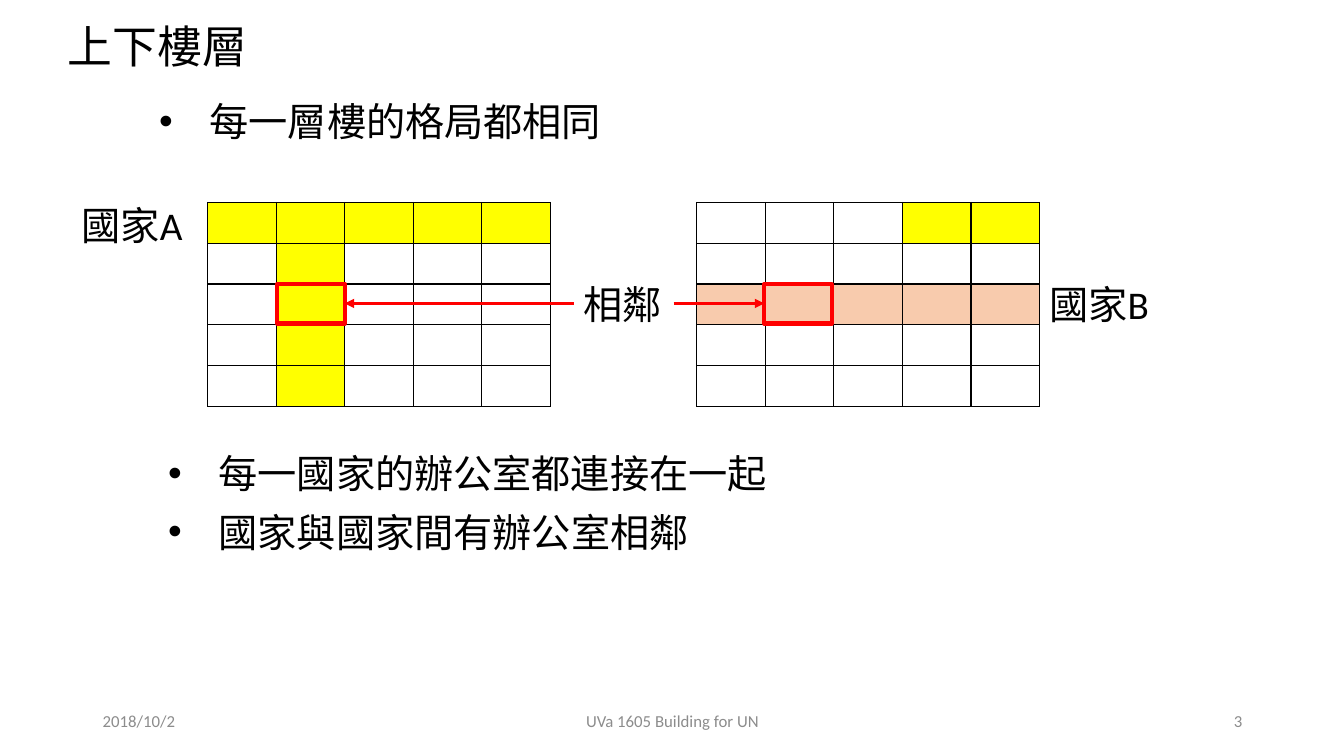
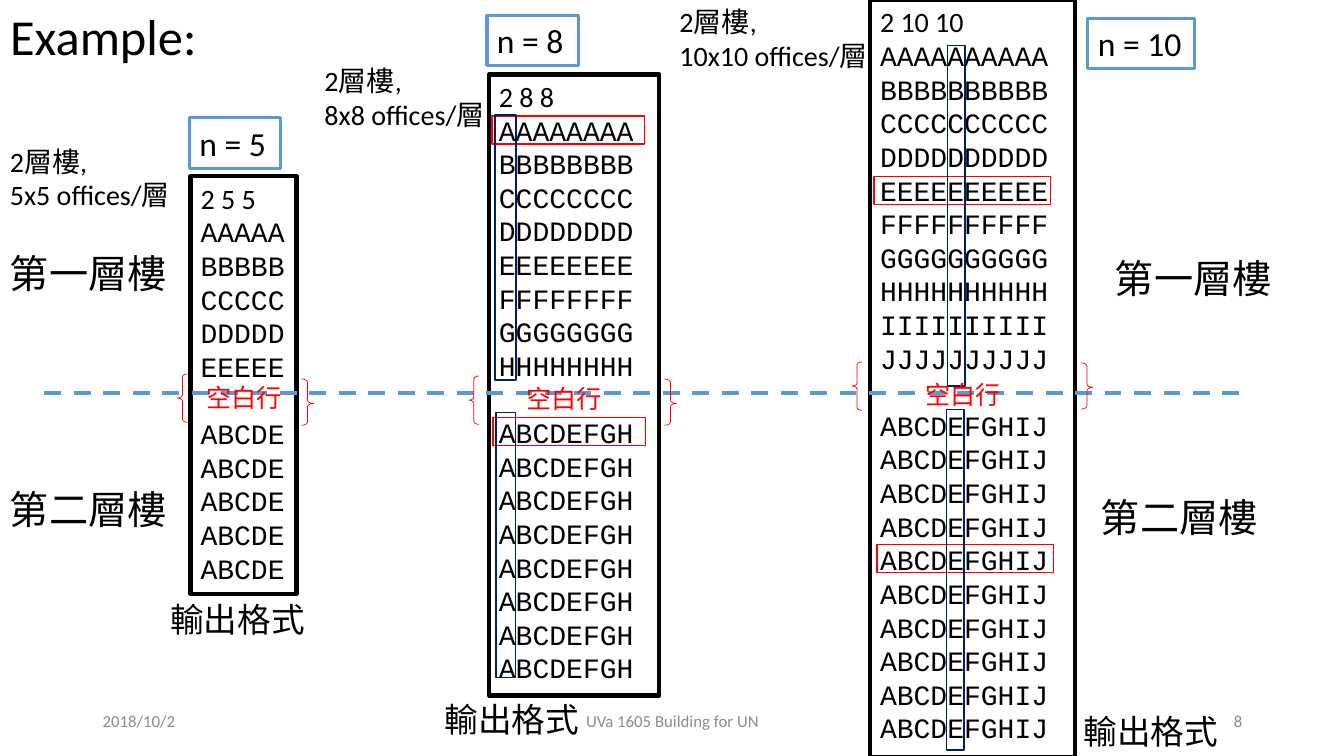
import dataclasses

import pptx
import pptx.dml.color
import pptx.enum.dml
import pptx.enum.shapes
import pptx.enum.text
import pptx.oxml.ns
import pptx.util
from lxml import etree

PX = 9144  # EMU in one px, 100 px to the inch
qn = pptx.oxml.ns.qn
SHAPE = pptx.enum.shapes.MSO_SHAPE
ALIGN = pptx.enum.text.PP_ALIGN
ANCHOR = pptx.enum.text.MSO_ANCHOR


@dataclasses.dataclass(frozen=True)
class Theme:
    latin: str = "Calibri"
    cjk: str = "Noto Sans CJK SC"
    mono: str = "Courier New"
    black: str = "000000"
    grey: str = "8C8C8C"
    red: str = "FF0000"
    navy: str = "002060"
    blue: str = "5B9BD5"
    yellow: str = "FFFF00"
    peach: str = "F8CBAD"
    title: int = 32
    example_title: int = 36
    body: int = 28
    caption: int = 24
    code: int = 20
    code_pitch: int = 24
    mark: int = 18
    footer: int = 12


THEME = Theme()


@dataclasses.dataclass(frozen=True)
class Example:
    n: int
    listing: tuple
    badge: tuple
    note: tuple
    caption: tuple
    blank: tuple
    left_brace: tuple
    right_brace: tuple
    row_marks: tuple = ()
    column_marks: tuple = ()


EXAMPLES = (
    Example(8, (485, 74, 169, 616), (483, 15, 91, 50), (312, 58, 184, 77),
            (431, 688), (512, 375), (465, 373), (659, 376),
            ((488, 115, 151, 28), (489, 414, 151, 28)),
            ((491, 114, 21, 263), (492, 409, 19, 263))),
    Example(5, (189, 175, 105, 414), (188, 117, 90, 50), (0, 138, 184, 77),
            (159, 589), (195, 374), (176, 371), (299, 376)),
    Example(10, (863, 0, 203, 751), (1079, 18, 106, 50), (664, 0, 208, 77),
            (1065, 700), (908, 371), (845, 359), (1072, 360),
            ((867, 175, 175, 28), (870, 540, 175, 28)),
            ((940, 45, 17, 338), (939, 406, 17, 338))),
)


def emu(lengths):
    return [length * PX for length in lengths]


def rgb(color):
    return pptx.dml.color.RGBColor.from_string(color)


# Text
def add_bullet(paragraph):
    properties = paragraph._p.get_or_add_pPr()
    properties.set("marL", str(50 * PX))
    properties.set("indent", str(-50 * PX))
    etree.SubElement(properties, qn("a:buFont")).set("typeface", "Arial")
    etree.SubElement(properties, qn("a:buChar")).set("char", "•")


def write(frame, *lines, size=THEME.body, color=THEME.black, font=THEME.latin,
          align=ALIGN.LEFT, bullet=False, pitch=None, before=None):
    """Append lines to a frame; before is the gap above the first of them."""
    for index, line in enumerate(lines):
        paragraph = frame.paragraphs[-1]
        if paragraph.runs:
            paragraph = frame.add_paragraph()
        if bullet:
            add_bullet(paragraph)
        paragraph.alignment = align
        if pitch:
            paragraph.line_spacing = pptx.util.Pt(pitch)
        if before and index == 0:
            paragraph.space_before = pptx.util.Pt(before)
        run = paragraph.add_run()
        run.text = line
        run.font.size = pptx.util.Pt(size)
        run.font.color.rgb = rgb(color)
        run.font.name = font
        east_asian = etree.SubElement(run._r.get_or_add_rPr(), qn("a:ea"))
        east_asian.set("typeface", THEME.cjk)


def add_text(slide, area, *lines, outline=None, anchor=ANCHOR.TOP, **text_format):
    box = slide.shapes.add_textbox(*emu(area))
    box.text_frame.word_wrap = True
    box.text_frame.vertical_anchor = anchor
    if outline:
        set_line(box.line, *outline)
    write(box.text_frame, *lines, **text_format)
    return box.text_frame


def add_titled_slide(deck, title, area, size, number):
    slide = deck.slides.add_slide(deck.slide_layouts[5])
    heading = slide.shapes.title
    heading.left, heading.top, heading.width, heading.height = emu(area)
    frame = heading.text_frame
    frame.word_wrap = True
    frame.auto_size = pptx.enum.text.MSO_AUTO_SIZE.NONE
    frame.vertical_anchor = ANCHOR.TOP
    write(frame, title, size=size)
    for left, width, words, align in (
            (92, 300, "2018/10/2", ALIGN.LEFT),
            (442, 450, "UVa 1605 Building for UN", ALIGN.CENTER),
            (942, 300, str(number), ALIGN.RIGHT)):
        add_text(slide, (left, 695, width, 40), words, anchor=ANCHOR.MIDDLE,
                 size=THEME.footer, color=THEME.grey, align=align)
    return slide


# Outlines and lines
def set_line(line, color, width):
    line.color.rgb = rgb(color)
    line.width = pptx.util.Pt(width)


def add_outline(slide, area, color, width, kind=SHAPE.RECTANGLE, adjustments=()):
    outline = slide.shapes.add_shape(kind, *emu(area))
    outline.shadow.inherit = False
    outline.fill.background()
    set_line(outline.line, color, width)
    for index, value in enumerate(adjustments):
        outline.adjustments[index] = value


def add_line(slide, start, end, color, width, arrow=False, dash=None):
    connector = slide.shapes.add_connector(
        pptx.enum.shapes.MSO_CONNECTOR.STRAIGHT, *emu(start + end))
    set_line(connector.line, color, width)
    if dash:
        connector.line.dash_style = dash
    if arrow:
        tip = etree.SubElement(connector.line._get_or_add_ln(), qn("a:tailEnd"))
        tip.set("type", "triangle")
    etree.SubElement(connector._element.spPr, qn("a:effectLst"))


# Floor plan
def set_borders(cell):
    properties = cell._tc.get_or_add_tcPr()
    for index, side in enumerate(("lnL", "lnR", "lnT", "lnB")):
        border = etree.Element(qn(f"a:{side}"), w=str(pptx.util.Pt(1)))
        fill = etree.SubElement(border, qn("a:solidFill"))
        etree.SubElement(fill, qn("a:srgbClr")).set("val", THEME.black)
        properties.insert(index, border)


def add_floor(slide, left, fills):
    """Draw a 5 by 5 plan; fills maps (row, column) to a colour."""
    plan = slide.shapes.add_table(5, 5, *emu((left, 201, 340, 202))).table
    plan.first_row = False
    plan.horz_banding = False
    for row in range(5):
        for column in range(5):
            office = plan.cell(row, column)
            office.margin_top = office.margin_bottom = 0
            if (row, column) in fills:
                office.fill.solid()
                office.fill.fore_color.rgb = rgb(fills[row, column])
            else:
                office.fill.background()
            set_borders(office)


def build_floors(deck):
    slide = add_titled_slide(deck, "上下樓層", (57, 14, 235, 64), THEME.title, 3)

    # Two floors with the offices of each country
    lower = {(0, column): THEME.yellow for column in range(5)}
    lower.update({(row, 1): THEME.yellow for row in range(5)})
    upper = {(0, column): THEME.yellow for column in (3, 4)}
    upper.update({(2, column): THEME.peach for column in range(5)})
    add_floor(slide, 206, lower)
    add_floor(slide, 691, upper)

    # Statements and country names
    for area, statement in (((148, 92, 469, 57), "每一層樓的格局都相同"),
                            ((157, 441, 630, 57), "每一國家的辦公室都連接在一起"),
                            ((157, 499, 608, 57), "國家與國家間有辦公室相鄰")):
        add_text(slide, area, statement, bullet=True)
    add_text(slide, (71, 195, 126, 57), "國家A")
    add_text(slide, (1031, 273, 126, 57), "國家B")

    # Adjacent offices
    for left in (758, 275):
        add_outline(slide, (left, 282, 67, 39), THEME.red, 3)
    add_text(slide, (569, 273, 99, 57), "相鄰")
    for start, end in ((569, 342), (668, 758)):
        add_line(slide, (start, 301), (end, 301), THEME.red, 2.25, arrow=True)


# Worked examples
def add_listing(slide, example):
    n = example.n
    letters = "ABCDEFGHIJ"[:n]
    frame = add_text(slide, example.listing, f"2 {n} {n}", size=THEME.code,
                     outline=(THEME.black, 3))
    code = dict(size=THEME.code, font=THEME.mono, pitch=THEME.code_pitch)
    write(frame, *(letter * n for letter in letters), **code)
    write(frame, *[letters] * n, before=THEME.code_pitch, **code)


def add_example_labels(slide, example):
    n = example.n
    add_text(slide, example.badge, f"n = {n}", size=THEME.caption,
             outline=(THEME.blue, 2.25))
    add_text(slide, example.note, "2層樓,", f"{n}x{n} offices/層", size=THEME.code)
    add_text(slide, example.caption + (157, 50), "輸出格式", size=THEME.caption)
    for areas, color in ((example.row_marks, THEME.red),
                         (example.column_marks, THEME.navy)):
        for area in areas:
            add_outline(slide, area, color, 1)


def add_blank_row_mark(slide, example):
    add_outline(slide, example.left_brace + (10, 48), THEME.red, 0.5,
                SHAPE.LEFT_BRACE, (0.29, 0.5))
    add_outline(slide, example.right_brace + (12, 46), THEME.red, 0.5,
                SHAPE.RIGHT_BRACE, (0.26, 0.53))
    add_text(slide, example.blank + (109, 40), "空白行", size=THEME.mark,
             color=THEME.red)


def build_examples(deck):
    slide = add_titled_slide(deck, "Example:", (0, 0, 235, 71),
                             THEME.example_title, 8)
    for example in EXAMPLES:
        add_listing(slide, example)
        add_example_labels(slide, example)

    # Border between the floors
    add_line(slide, (44, 390), (1229, 390), THEME.blue, 3,
             dash=pptx.enum.dml.MSO_LINE.DASH)
    for left, top, floor in ((0, 242, "第一層樓"), (1096, 247, "第一層樓"),
                             (0, 477, "第二層樓"), (1082, 484, "第二層樓")):
        add_text(slide, (left, top, 188, 57), floor)
    for example in EXAMPLES:
        add_blank_row_mark(slide, example)


def main():
    deck = pptx.Presentation()
    deck.slide_width, deck.slide_height = emu((1333, 750))
    build_floors(deck)
    build_examples(deck)
    deck.save("out.pptx")


if __name__ == "__main__":
    main()
